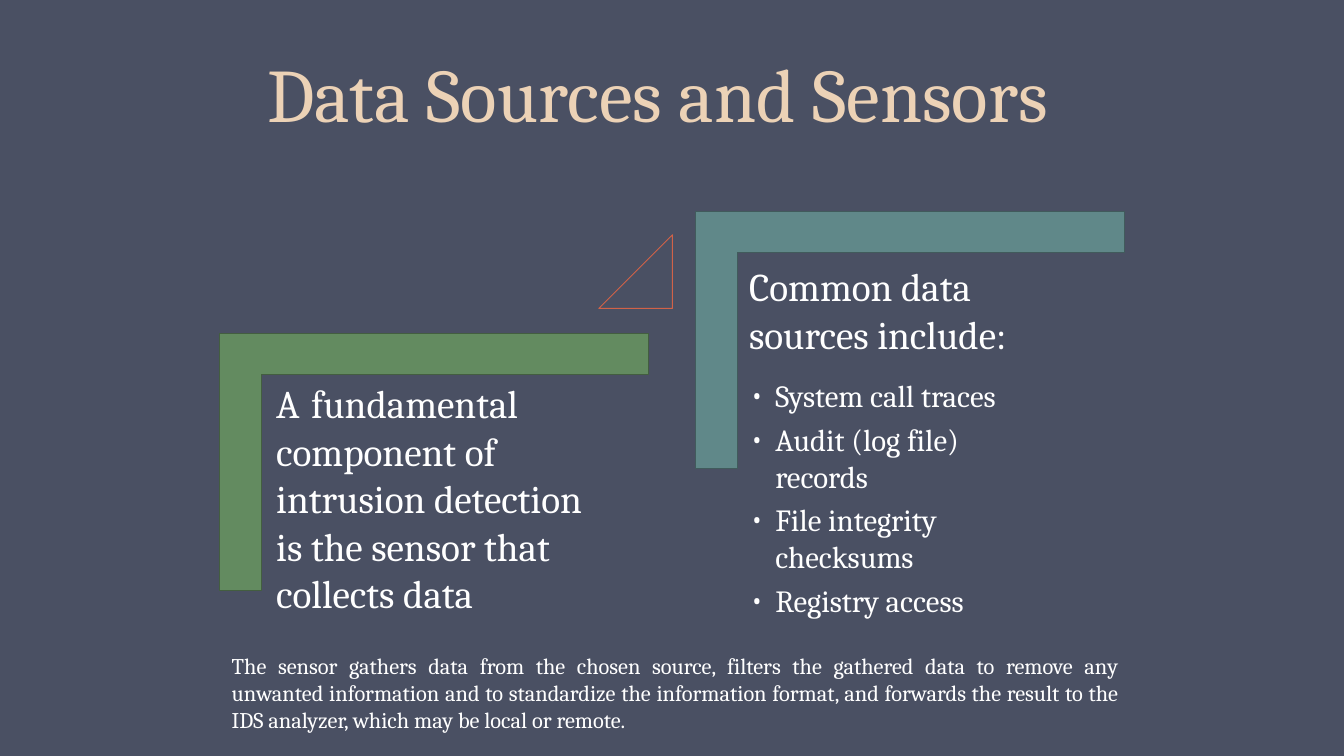
from lxml import etree
from pptx import Presentation
from pptx.dml.color import RGBColor
from pptx.enum.text import MSO_ANCHOR, PP_ALIGN
from pptx.oxml.ns import qn
from pptx.util import Inches, Pt

JUSTIFY, LEFT, TOP = PP_ALIGN.JUSTIFY, PP_ALIGN.LEFT, MSO_ANCHOR.TOP

# Content
FONT = "Cambria"
BACKGROUND, TITLE_COLOR, TEXT_COLOR, TRIANGLE_COLOR = "4A5063", "ECD2B6", "FFFFFF", "D16248"
TITLE = "Data Sources and Sensors"
SENSOR = ("A ", "fundamental component of intrusion detection is the sensor that collects data")
SOURCES_HEADING = "Common data sources include:"
SOURCES = ["System call traces", "Audit (log file) records",
           "File integrity checksums", "Registry access"]
SUMMARY = ("The sensor gathers data from the chosen source, filters the gathered data to "
           "remove any unwanted information and to standardize the information format, and "
           "forwards the result to the IDS analyzer, which may be local or remote.")

# Corner brackets: left, top, fill, line
BRACKETS = [(2.18, 3.31, "638B60", "435E40"), (6.9, 2.1, "608889", "415B5C")]
BRACKET_WIDTH, BRACKET_HEIGHT, BAR = 4.25, 2.55, 0.41
TRIANGLE = [(5.94, 3.06), (6.67, 2.33), (6.67, 3.06)]
LINE_WIDTH = 0.72

prs = Presentation()
prs.slide_width, prs.slide_height = Inches(13.33), Inches(7.5)
slide = prs.slides.add_slide(prs.slide_layouts[6])


def paint(color_format, color):
    color_format.rgb = RGBColor.from_string(color)


def add_outline(points, line, fill=None):
    corners = [(Inches(x), Inches(y)) for x, y in points]
    builder = slide.shapes.build_freeform(*corners[0])
    builder.add_line_segments(corners[1:], close=True)
    shape = builder.convert_to_shape()
    shape.shadow.inherit = False
    if fill:
        shape.fill.solid()
        paint(shape.fill.fore_color, fill)
    else:
        shape.fill.background()
    paint(shape.line.color, line)
    shape.line.width = Pt(LINE_WIDTH)


def add_text_frame(left, top, width, height, margins):
    box = slide.shapes.add_textbox(*map(Inches, (left, top, width, height)))
    frame = box.text_frame
    frame.word_wrap = True
    frame.vertical_anchor = TOP
    (frame.margin_left, frame.margin_top,
     frame.margin_right, frame.margin_bottom) = map(Inches, margins)
    return frame


def style(paragraph, size, color=TEXT_COLOR, align=LEFT):
    paragraph.alignment = align
    paragraph.font.name, paragraph.font.size = FONT, Pt(size)
    paint(paragraph.font.color, color)


def add_bullet(paragraph):
    properties = paragraph._p.get_or_add_pPr()
    properties.set("marL", str(Inches(0.26)))
    properties.set("indent", str(Inches(-0.25)))
    etree.SubElement(properties, qn("a:buFont"), typeface=FONT)
    etree.SubElement(properties, qn("a:buChar"), char="•")


# Background
slide.background.fill.solid()
paint(slide.background.fill.fore_color, BACKGROUND)

# Title
title = add_text_frame(2.65, -0.07, 11.4, 1.45, (0, 0.54, 0, 0)).paragraphs[0]
title.text = TITLE
style(title, 54, TITLE_COLOR)

# Brackets and triangle
for left, top, fill, line in BRACKETS:
    right, bottom = left + BRACKET_WIDTH, top + BRACKET_HEIGHT
    add_outline([(left, top), (right, top), (right, top + BAR), (left + BAR, top + BAR),
                 (left + BAR, bottom), (left, bottom)], line, fill)
add_outline(TRIANGLE, TRIANGLE_COLOR)

# Sensor statement, with its first word spaced out
sensor = add_text_frame(2.73, 3.75, 3.28, 2.38, (0.01, 0.01, 0, 0)).paragraphs[0]
for part in SENSOR:
    sensor.add_run().text = part
sensor.runs[0].font._element.set("spc", "100")
sensor.line_spacing = 1.01
style(sensor, 28)

# Data sources
sources = add_text_frame(7.42, 2.59, 3.56, 2.83, (0.01, 0.01, 0.7, 0))
heading = sources.paragraphs[0]
heading.text = SOURCES_HEADING
heading.line_spacing = 1.01
style(heading, 28)
for index, source in enumerate(SOURCES):
    item = sources.add_paragraph()
    item.text = source
    item.space_before = Pt(4.8 if index else 14.2)
    add_bullet(item)
    style(item, 22)

# Summary
summary = add_text_frame(2.2, 6.42, 9, 0.91, (0.1, 0.05, 0.1, 0.05)).paragraphs[0]
summary.text = SUMMARY
style(summary, 16, align=JUSTIFY)

prs.save("out.pptx")
